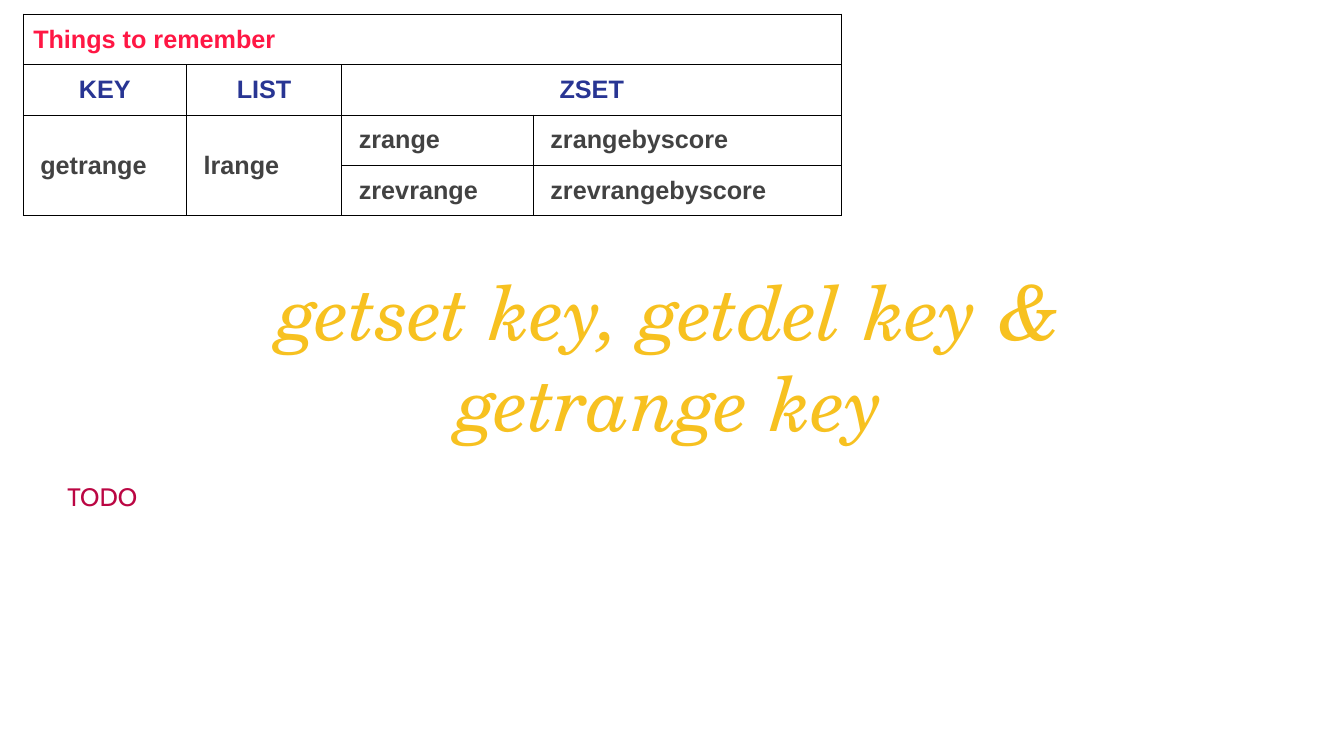
import pptx
import pptx.dml.color
import pptx.enum.text
import pptx.oxml
import pptx.util
from pptx.dml.color import RGBColor
from pptx.enum.text import MSO_ANCHOR, PP_ALIGN
from pptx.util import Inches, Pt

RED = RGBColor(0xFF, 0x17, 0x44)
INDIGO = RGBColor(0x28, 0x35, 0x93)
GREY = RGBColor(0x42, 0x42, 0x42)
AMBER = RGBColor(0xF7, 0xC1, 0x20)
CRIMSON = RGBColor(0xBB, 0x06, 0x43)
BORDER = RGBColor(0, 0, 0)

# Content
HEADING = "getset key, getdel key & getrange key"
BODY = "TODO"
COMMANDS = [
    ["Things to remember", None, None, None],
    ["KEY", "LIST", "ZSET", None],
    ["getrange", "lrange", "zrange", "zrangebyscore"],
    [None, None, "zrevrange", "zrevrangebyscore"],
]
# First and last cell of each merged area, as (row, column)
MERGES = [((0, 0), (0, 3)), ((1, 2), (1, 3)), ((2, 0), (3, 0)), ((2, 1), (3, 1))]
COLUMN_WIDTHS = [1.62, 1.54, 1.9, 3.06]
ROW_HEIGHT = 0.5
# Colour, alignment and left margin of each row
TITLE_STYLE = (RED, PP_ALIGN.LEFT, 0.1)
TYPE_STYLE = (INDIGO, PP_ALIGN.CENTER, 0.1)
COMMAND_STYLE = (GREY, PP_ALIGN.LEFT, 0.17)
ROW_STYLES = [TITLE_STYLE, TYPE_STYLE, COMMAND_STYLE, COMMAND_STYLE]


def set_font(paragraph, name, size, color, bold=False, italic=False):
    font = paragraph.font
    font.name, font.size = name, Pt(size)
    font.bold, font.italic = bold, italic
    font.color.rgb = color


def add_text(slide, text, box, align, *font):
    frame = slide.shapes.add_textbox(*map(Inches, box)).text_frame
    frame.word_wrap = True
    paragraph = frame.paragraphs[0]
    paragraph.text, paragraph.alignment = text, align
    set_font(paragraph, *font)


def add_borders(cell):
    properties = cell._tc.get_or_add_tcPr()
    for position, side in enumerate(("lnL", "lnR", "lnT", "lnB")):
        properties.insert(position, pptx.oxml.parse_xml(
            f'<a:{side} xmlns:a="http://schemas.openxmlformats.org/drawingml/2006/main"'
            f' w="{Pt(0.62)}"><a:solidFill><a:srgbClr val="{BORDER}"/></a:solidFill>'
            f'</a:{side}>'))


def add_commands(slide):
    rows, columns = len(COMMANDS), len(COLUMN_WIDTHS)
    table = slide.shapes.add_table(
        rows, columns, Inches(0.23), Inches(0.14),
        Inches(sum(COLUMN_WIDTHS)), Inches(rows * ROW_HEIGHT)).table
    table.first_row = table.horz_banding = False
    for column, width in zip(table.columns, COLUMN_WIDTHS):
        column.width = Inches(width)
    for first, last in MERGES:
        table.cell(*first).merge(table.cell(*last))
    for r, (words, (color, align, margin)) in enumerate(zip(COMMANDS, ROW_STYLES)):
        table.rows[r].height = Inches(ROW_HEIGHT)
        for c, word in enumerate(words):
            cell = table.cell(r, c)
            cell.fill.background()
            add_borders(cell)
            cell.vertical_anchor = MSO_ANCHOR.MIDDLE
            cell.margin_left = Inches(margin)
            paragraph = cell.text_frame.paragraphs[0]
            if word:
                paragraph.text = word
            paragraph.alignment = align
            set_font(paragraph, "Arial", 18, color, True)


def main():
    deck = pptx.Presentation()
    deck.slide_width, deck.slide_height = Inches(13.33), Inches(7.5)
    slide = deck.slides.add_slide(deck.slide_layouts[6])

    # Heading and body
    add_text(slide, HEADING, (1.83, 2.58, 9.64, 1.9), PP_ALIGN.CENTER,
             "TeX Gyre Schola", 54, AMBER, False, True)
    add_text(slide, BODY, (0.57, 4.73, 12.09, 0.4), PP_ALIGN.JUSTIFY,
             "Cabin", 18, CRIMSON)

    # Command table
    add_commands(slide)
    deck.save("out.pptx")


if __name__ == "__main__":
    main()
